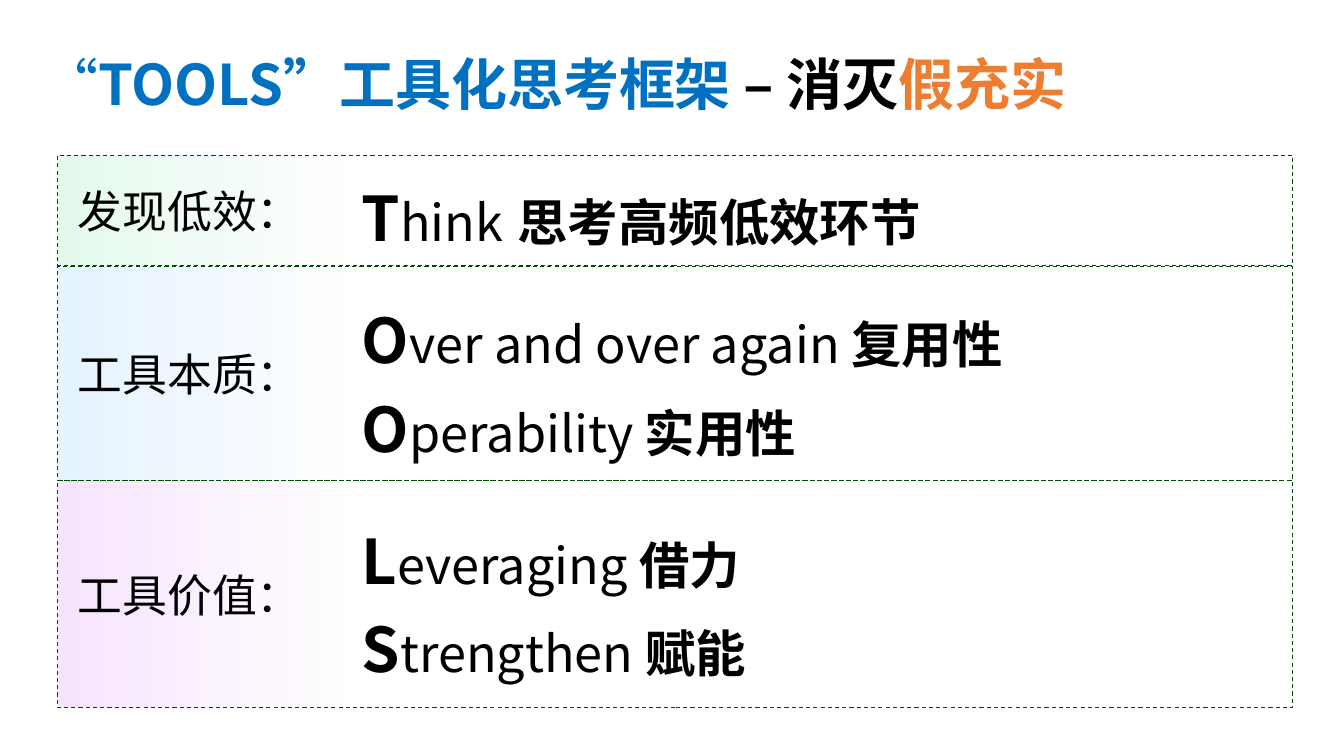
from lxml.etree import SubElement
from pptx import Presentation
from pptx.dml.color import RGBColor
from pptx.enum.dml import MSO_LINE
from pptx.enum.shapes import MSO_SHAPE
from pptx.enum.text import MSO_ANCHOR, MSO_AUTO_SIZE, PP_ALIGN
from pptx.oxml.ns import qn
from pptx.util import Inches, Pt

FONT = "Noto Sans CJK SC"
COLORS = {
    "black": "000000", "white": "FFFFFF", "blue": "0070C0", "orange": "ED7D31",
    "border": "004C00", "green_tint": "E4F9EC", "blue_tint": "E5F3FF",
    "purple_tint": "F7E4FF",
}


def rgb(name):
    """Return the named colour."""
    return RGBColor.from_string(COLORS[name])


def add_run(p, text, size=36, bold=False, color="black"):
    """Add a formatted run for Latin and Chinese text."""
    r = p.add_run()
    r.text = text
    r.font.size, r.font.bold = Pt(size), bold
    r.font.color.rgb = rgb(color)
    r.font.name = FONT
    rPr = r.font._element
    rPr.set("lang", "zh-CN")
    SubElement(rPr, qn("a:ea")).set("typeface", FONT)


class FrameworkSlide:
    """Hold the style and the current slide."""

    left, width, text_left = 0.57, 12.25, 3.49

    def __init__(self, prs):
        """Add a title-only slide."""
        self.s = prs.slides.add_slide(prs.slide_layouts[5])

    def title(self, runs):
        """Fill and place the title placeholder."""
        sp = self.s.shapes.title
        sp.left, sp.top = Inches(0.32), Inches(0.04)
        sp.width, sp.height = Inches(13.01), Inches(1.44)
        tf = sp.text_frame
        tf.word_wrap, tf.auto_size = True, MSO_AUTO_SIZE.NONE
        tf.vertical_anchor = MSO_ANCHOR.MIDDLE
        p = tf.paragraphs[0]
        p.alignment, p.line_spacing = PP_ALIGN.LEFT, 1.2
        for text, bold, color in runs:
            add_run(p, text, size=40, bold=bold, color=color)

    def band(self, label, top, height, tint):
        """Draw a dashed band with a fading tint and a label."""
        sp = self.s.shapes.add_shape(
            MSO_SHAPE.RECTANGLE, Inches(self.left), Inches(top),
            Inches(self.width), Inches(height))
        sp.shadow.inherit = False
        sp.fill.gradient()
        sp.fill.gradient_angle = 0
        stops = zip(sp.fill.gradient_stops, (0, 0.25), (tint, "white"))
        for stop, position, color in stops:
            stop.position, stop.color.rgb = position, rgb(color)
        sp.line.color.rgb = rgb("border")
        sp.line.width, sp.line.dash_style = Pt(0.75), MSO_LINE.DASH
        tf = sp.text_frame
        tf.vertical_anchor, tf.margin_left = MSO_ANCHOR.MIDDLE, Inches(0.2)
        p = tf.paragraphs[0]
        p.alignment = PP_ALIGN.LEFT
        add_run(p, label, size=32)

    def terms(self, top, width, height, lines):
        """Write each term with a large initial and its bold meaning."""
        sp = self.s.shapes.add_textbox(
            Inches(self.text_left), Inches(top), Inches(width), Inches(height))
        tf = sp.text_frame
        tf.word_wrap, tf.auto_size = True, MSO_AUTO_SIZE.SHAPE_TO_FIT_TEXT
        for i, (word, gap_size, meaning) in enumerate(lines):
            p = tf.add_paragraph() if i else tf.paragraphs[0]
            p.line_spacing = 1.2
            add_run(p, word[0], size=44, bold=True)
            add_run(p, word[1:])
            add_run(p, " ", size=gap_size, bold=True)
            add_run(p, meaning, bold=True)


def main():
    """Build and save the slide."""
    prs = Presentation()
    prs.slide_width, prs.slide_height = Inches(13.33), Inches(7.5)
    slide = FrameworkSlide(prs)
    slide.title([
        ("“", False, "blue"), ("TOOLS”工具化思考框架 ", True, "blue"),
        ("– 消灭", True, "black"), ("假充实", True, "orange"),
    ])
    bands = [
        ("发现低效：", 1.54, 1.09, "green_tint", (1.59, 9.77, 0.91),
         [("Think", 44, "思考高频低效环节")]),
        ("工具本质：", 2.64, 2.13, "blue_tint", (2.8, 9.85, 1.88),
         [("Over and over again", 36, "复用性"), ("Operability", 36, "实用性")]),
        ("工具价值：", 4.77, 2.25, "purple_tint", (4.99, 6.67, 1.88),
         [("Leveraging", 36, "借力"), ("Strengthen", 36, "赋能")]),
    ]
    for label, top, height, tint, box, lines in bands:
        slide.band(label, top, height, tint)
        slide.terms(*box, lines)
    prs.save("out.pptx")


if __name__ == "__main__":
    main()
